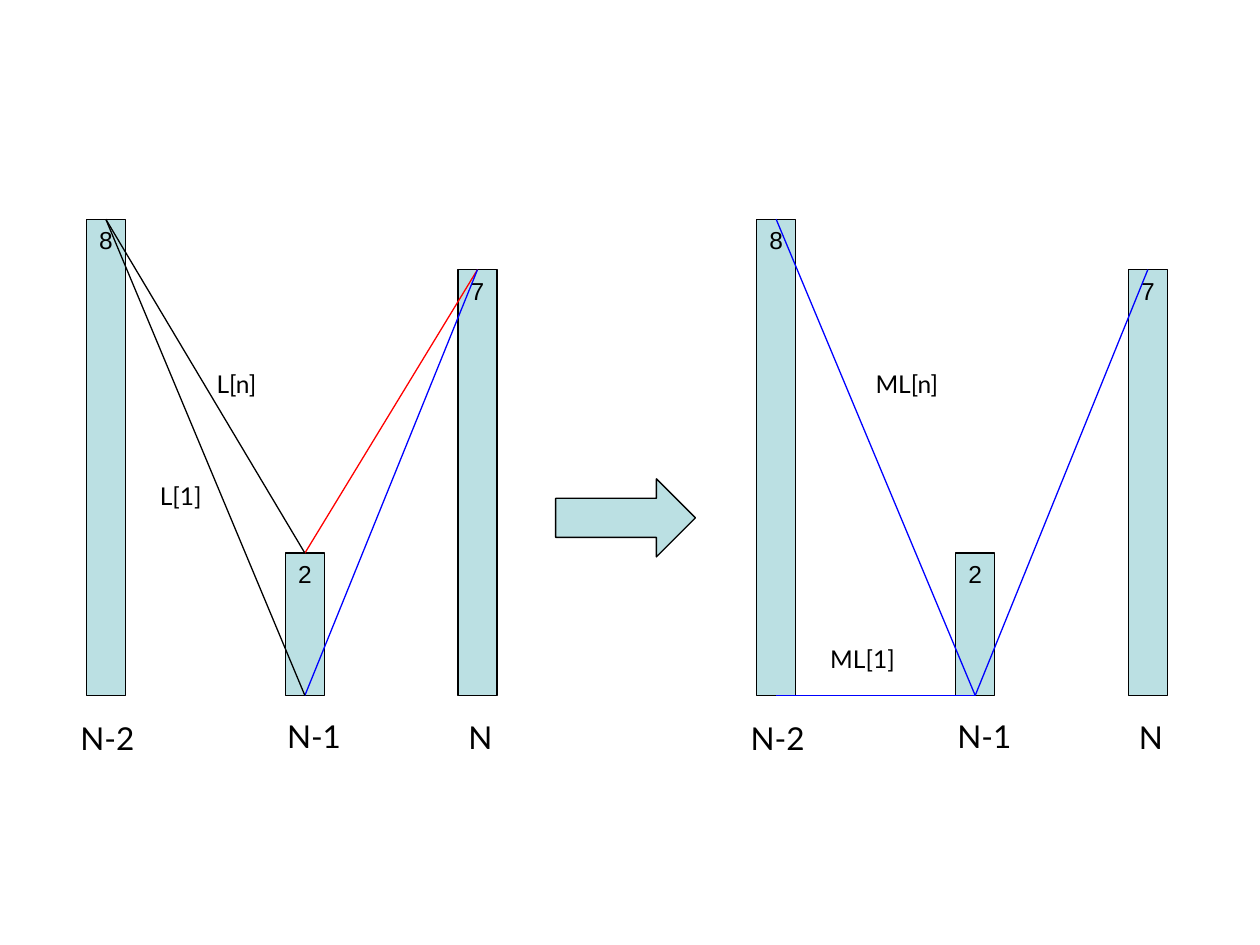
import pptx
import pptx.util
import pptx.dml.color
import pptx.enum.shapes
import pptx.enum.text
import pptx.oxml.ns
from dataclasses import dataclass
from lxml import etree

Inches = pptx.util.Inches
Pt = pptx.util.Pt
MSO_SHAPE = pptx.enum.shapes.MSO_SHAPE
PP_ALIGN = pptx.enum.text.PP_ALIGN


@dataclass(frozen=True)
class Theme:
    fill: str = "BBE0E3"
    black: str = "000000"
    red: str = "FF0000"
    blue: str = "0000FF"
    value_font: str = "Arial"
    label_font: str = "Lato"
    small: int = 14
    large: int = 18
    line_width: float = 0.75


class Diagram:
    def __init__(self, slide, theme):
        self.slide = slide
        self.theme = theme

    def color(self, value):
        return pptx.dml.color.RGBColor.from_string(value)

    def set_text(self, shape, text, font, size):
        frame = shape.text_frame
        frame.text = text
        frame.word_wrap = True
        frame.vertical_anchor = pptx.enum.text.MSO_ANCHOR.TOP
        run = frame.paragraphs[0].runs[0]
        run.font.name = font
        run.font.size = Pt(size)
        run.font.color.rgb = self.color(self.theme.black)

    def block(self, kind, left, top, width, height):
        shape = self.slide.shapes.add_shape(
            kind, Inches(left), Inches(top), Inches(width), Inches(height))
        shape.shadow.inherit = False
        shape.fill.solid()
        shape.fill.fore_color.rgb = self.color(self.theme.fill)
        shape.line.color.rgb = self.color(self.theme.black)
        shape.line.width = Pt(self.theme.line_width)
        return shape

    def bar(self, center, top, value):
        shape = self.block(MSO_SHAPE.RECTANGLE, center - BAR_WIDTH / 2, top,
                           BAR_WIDTH, BASE - top)
        self.set_text(shape, value, self.theme.value_font, self.theme.small)
        shape.text_frame.paragraphs[0].alignment = PP_ALIGN.CENTER

    def label(self, left, top, width, height, text, size):
        box = self.slide.shapes.add_textbox(
            Inches(left), Inches(top), Inches(width), Inches(height))
        self.set_text(box, text, self.theme.label_font, size)

    def line(self, start, end, color):
        connector = self.slide.shapes.add_connector(
            pptx.enum.shapes.MSO_CONNECTOR.STRAIGHT,
            Inches(start[0]), Inches(start[1]), Inches(end[0]), Inches(end[1]))
        connector.line.color.rgb = self.color(color)
        connector.line.width = Pt(self.theme.line_width)
        etree.SubElement(connector._element.spPr, pptx.oxml.ns.qn("a:effectLst"))


BAR_WIDTH = 0.31
BASE = 5.52
PANEL_OFFSET = 5.32
BARS = [
    (0.84, 1.74, "8", "N-2", 0.54, 5.66),
    (2.42, 4.39, "2", "N-1", 2.18, 5.64),
    (3.79, 2.14, "7", "N", 3.62, 5.65),
]

theme = Theme()
first_top, middle_top, last_top = [(bar[0], bar[1]) for bar in BARS]
first_base, middle_base = (first_top[0], BASE), (middle_top[0], BASE)

PANELS = [
    (0,
     [(middle_top, last_top, theme.red),
      (last_top, middle_base, theme.blue),
      (first_top, middle_top, theme.black),
      (first_top, middle_base, theme.black)],
     [("L[1]", 1.17, 3.77), ("L[n]", 1.62, 2.88)]),
    (PANEL_OFFSET,
     [(last_top, middle_base, theme.blue),
      (first_top, middle_base, theme.blue),
      (first_base, middle_base, theme.blue)],
     [("ML[1]", 6.49, 5.06), ("ML[n]", 6.85, 2.88)]),
]

presentation = pptx.Presentation()
presentation.slide_width = Inches(10)
presentation.slide_height = Inches(7.5)
slide = presentation.slides.add_slide(presentation.slide_layouts[6])
diagram = Diagram(slide, theme)

for offset, lines, line_labels in PANELS:
    for center, top, value, name, name_left, name_top in BARS:
        diagram.bar(center + offset, top, value)
        diagram.label(name_left + offset, name_top, 0.8, 0.4, name, theme.large)
    for text, left, top in line_labels:
        diagram.label(left, top, 1.28, 0.34, text, theme.small)
    for start, end, color in lines:
        diagram.line((start[0] + offset, start[1]), (end[0] + offset, end[1]), color)

diagram.block(MSO_SHAPE.RIGHT_ARROW, 4.41, 3.8, 1.11, 0.62)

presentation.save("out.pptx")
